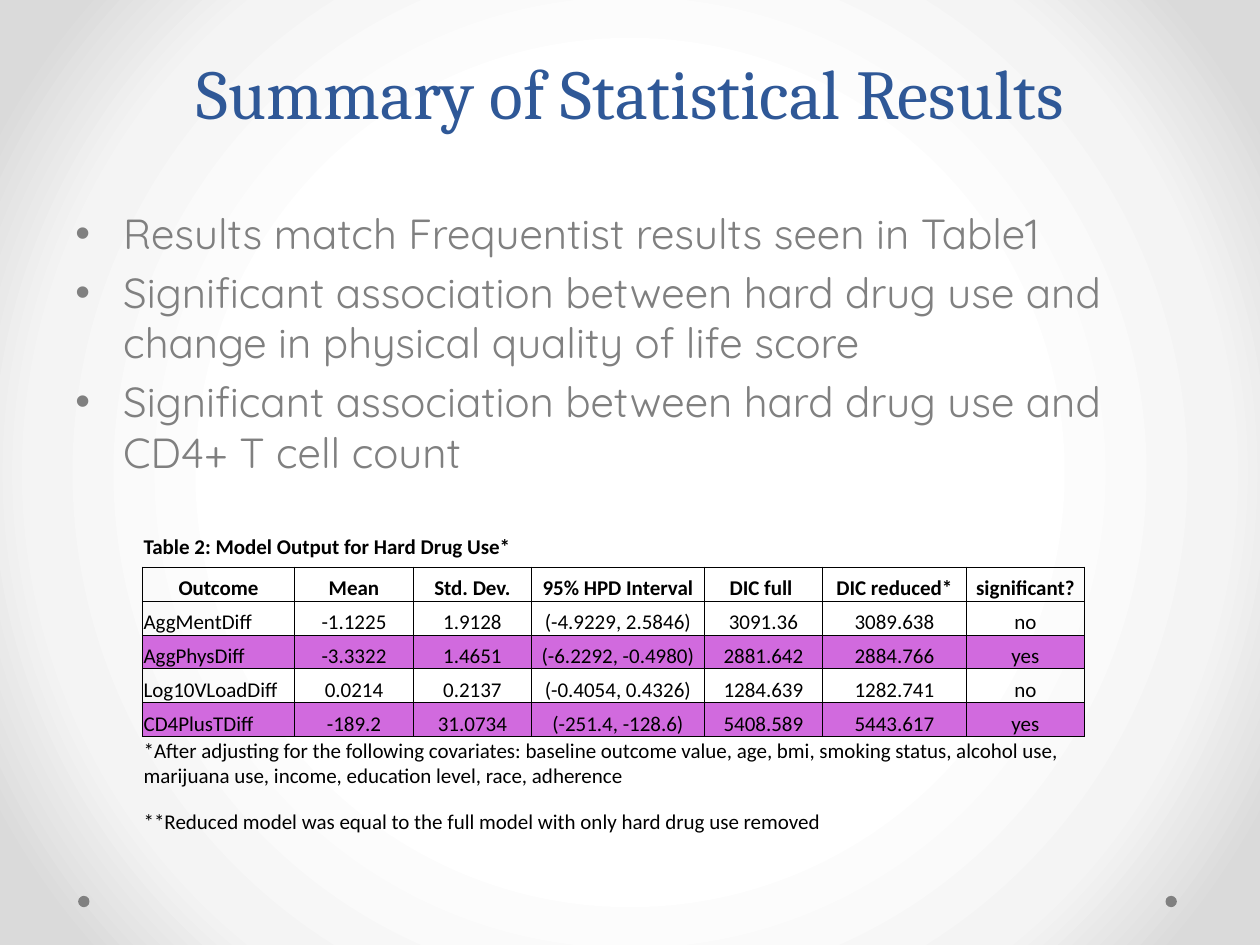
from lxml import etree
from pptx import Presentation
from pptx.dml.color import RGBColor
from pptx.enum import shapes, text
from pptx.oxml import parse_xml
from pptx.oxml.ns import nsdecls, qn
from pptx.util import Inches, Pt

BLACK, GRAY, BLUE, PURPLE = "000000", "808080", "2F5897", "D16ADE"
BULLETS = [
    "Results match Frequentist results seen in Table1",
    "Significant association between hard drug use and change in physical quality of life score",
    "Significant association between hard drug use and CD4+ T cell count",
]
CAPTION = "Table 2: Model Output for Hard Drug Use*"
RESULTS = [
    ["Outcome", "Mean", "Std. Dev.", "95% HPD Interval", "DIC full ", "DIC reduced*", "significant?"],
    ["AggMentDiff", "-1.1225", "1.9128", "(-4.9229, 2.5846)", "3091.36", "3089.638", "no"],
    ["AggPhysDiff", "-3.3322", "1.4651", "(-6.2292, -0.4980)", "2881.642", "2884.766", "yes"],
    ["Log10VLoadDiff", "0.0214", "0.2137", "(-0.4054, 0.4326)", "1284.639", "1282.741", "no"],
    ["CD4PlusTDiff", "-189.2", "31.0734", "(-251.4, -128.6)", "5408.589", "5443.617", "yes"],
]
NOTES = [
    "*After adjusting for the following covariates: baseline outcome value, age, bmi, smoking status, "
    "alcohol use, marijuana use, income, education level, race, adherence",
    "**Reduced model was equal to the full model with only hard drug use removed",
]
COLUMN_WIDTHS = [1.21, 0.94, 0.94, 1.37, 0.94, 1.14, 0.94]
ROW_HEIGHTS = [0.27] * 6 + [0.51, 0.27]


def color(value):
    return RGBColor.from_string(value)


def format_runs(paragraph, font_name, size, value, bold=False):
    for run in paragraph.runs:
        run.font.name = font_name
        run.font.size = Pt(size)
        run.font.bold = bold
        run.font.color.rgb = color(value)


def add_background(slide):
    slide.background.fill.solid()
    properties = slide.element.xpath("p:cSld/p:bg/p:bgPr")[0]
    stops = "".join(
        f'<a:gs pos="{position * 1000}"><a:srgbClr val="{value}"/></a:gs>'
        for position, value in [(50, "FFFFFF"), (76, "F4F4F4"), (92, "DADADA")]
    )
    gradient = parse_xml(
        f'<a:gradFill {nsdecls("a")} rotWithShape="1"><a:gsLst>{stops}</a:gsLst>'
        '<a:path path="circle"><a:fillToRect l="50000" t="50000" r="50000" b="50000"/></a:path>'
        "</a:gradFill>"
    )
    properties.replace(properties[0], gradient)


def add_corner_dots(slide, left, top, width, size):
    for dot_left in (left, left + width - size):
        dot = slide.shapes.add_shape(
            shapes.MSO_SHAPE.OVAL, Inches(dot_left), Inches(top), Inches(size), Inches(size)
        )
        dot.shadow.inherit = False
        dot.fill.solid()
        dot.fill.fore_color.rgb = color(GRAY)
        dot.line.fill.background()


def add_title(slide, left, top, width, height):
    box = slide.shapes.add_textbox(Inches(left), Inches(top), Inches(width), Inches(height))
    frame = box.text_frame
    frame.word_wrap = True
    frame.vertical_anchor = text.MSO_ANCHOR.BOTTOM
    frame.text = "Summary of Statistical Results"
    paragraph = frame.paragraphs[0]
    paragraph.alignment = text.PP_ALIGN.CENTER
    paragraph.line_spacing = Pt(58)
    format_runs(paragraph, "Cambria", 40, BLUE)


def add_bullets(slide, left, top, width, height):
    box = slide.shapes.add_textbox(Inches(left), Inches(top), Inches(width), Inches(height))
    frame = box.text_frame
    frame.word_wrap = True
    frame.text = "\n".join(BULLETS)
    for paragraph in frame.paragraphs:
        paragraph.space_before = Pt(4.8)
        format_runs(paragraph, "Quicksand", 24, GRAY)
        properties = paragraph._p.get_or_add_pPr()
        properties.set("marL", str(Inches(0.38)))
        properties.set("indent", str(Inches(-0.38)))
        etree.SubElement(properties, qn("a:buFont"), typeface="Arial")
        etree.SubElement(properties, qn("a:buChar"), char="•")


def set_borders(cell, visible_sides):
    properties = cell._tc.get_or_add_tcPr()
    for side in "LRTB":
        line = etree.SubElement(properties, qn(f"a:ln{side}"), w=str(Pt(0.5)))
        if side in visible_sides:
            fill = etree.SubElement(line, qn("a:solidFill"))
            etree.SubElement(fill, qn("a:srgbClr"), val=BLACK)
        else:
            etree.SubElement(line, qn("a:noFill"))


def set_cell(cell, content, sides="", bold=False, centered=False, fill=None, top=False):
    cell.margin_left = cell.margin_right = cell.margin_top = Inches(0.01)
    cell.margin_bottom = 0
    cell.vertical_anchor = text.MSO_ANCHOR.TOP if top else text.MSO_ANCHOR.BOTTOM
    set_borders(cell, sides)
    if fill:
        cell.fill.solid()
        cell.fill.fore_color.rgb = color(fill)
    else:
        cell.fill.background()
    cell.text = content
    paragraph = cell.text_frame.paragraphs[0]
    paragraph.alignment = text.PP_ALIGN.CENTER if centered else text.PP_ALIGN.LEFT
    format_runs(paragraph, "Calibri", 12, BLACK, bold)


def add_results_table(slide, left, top, width, height):
    table = slide.shapes.add_table(
        len(ROW_HEIGHTS), len(COLUMN_WIDTHS), Inches(left), Inches(top), Inches(width), Inches(height)
    ).table
    table.first_row = table.horz_banding = False
    for column, column_width in zip(table.columns, COLUMN_WIDTHS):
        column.width = Inches(column_width)
    for row, row_height in zip(table.rows, ROW_HEIGHTS):
        row.height = Inches(row_height)

    last_column = len(COLUMN_WIDTHS) - 1
    first_note = len(RESULTS) + 1
    spanning_rows = [
        (0, CAPTION, "B", True, True),
        (first_note, NOTES[0], "T", False, True),
        (first_note + 1, NOTES[1], "", False, False),
    ]
    for row, content, sides, bold, top_anchored in spanning_rows:
        for column in range(1, last_column + 1):
            set_cell(table.cell(row, column), "", sides)
        table.cell(row, 0).merge(table.cell(row, last_column))
        set_cell(table.cell(row, 0), content, sides, bold, top=top_anchored)

    for row, values in enumerate(RESULTS, start=1):
        header = row == 1
        fill = PURPLE if values[-1] == "yes" else None
        for column, value in enumerate(values):
            set_cell(table.cell(row, column), value, "LRTB", header, header or column > 0, fill)


def main():
    presentation = Presentation()
    presentation.slide_width = Inches(10)
    presentation.slide_height = Inches(7.5)
    slide = presentation.slides.add_slide(presentation.slide_layouts[6])
    add_background(slide)
    add_corner_dots(slide, 0.62, 7.11, 8.72, 0.09)
    add_title(slide, 0.5, 0.34, 9, 0.77)
    add_bullets(slide, 0.5, 1.6, 9, 2.3)
    add_results_table(slide, 1.13, 4.23, sum(COLUMN_WIDTHS), sum(ROW_HEIGHTS))
    presentation.save("out.pptx")


if __name__ == "__main__":
    main()
